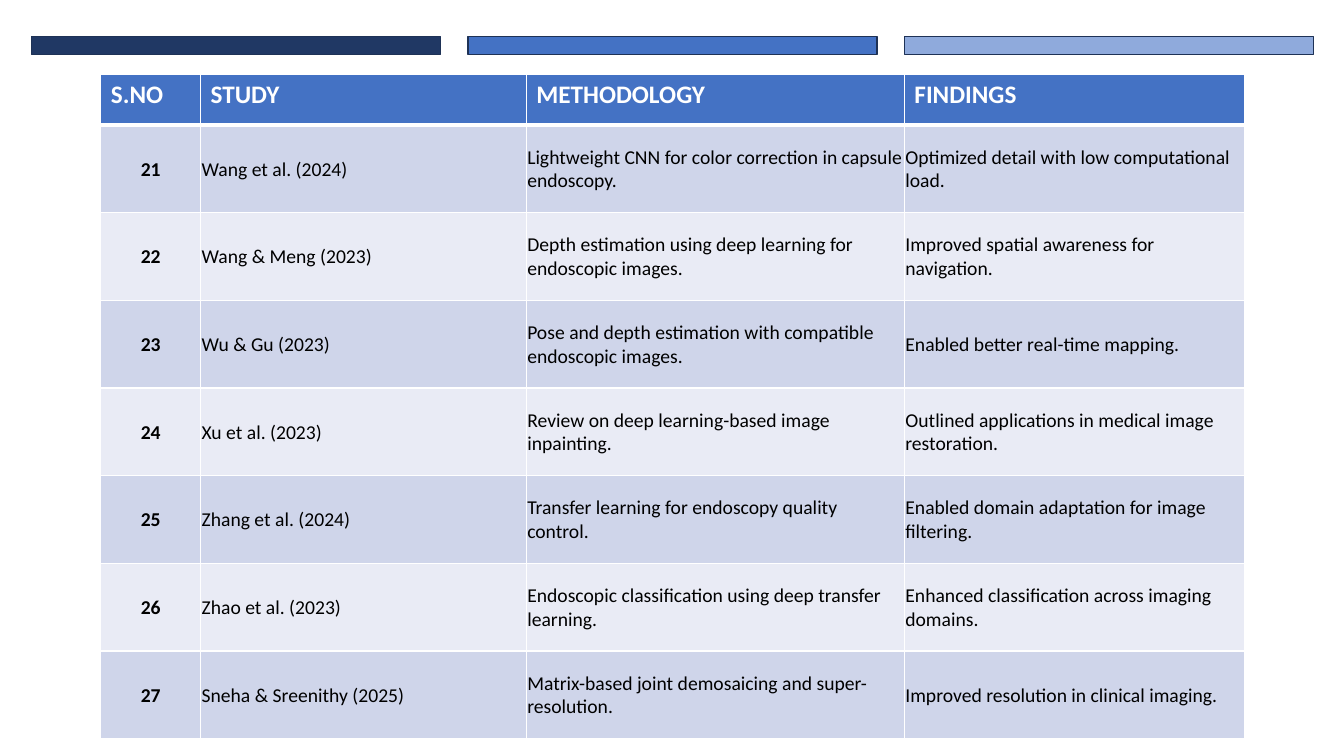
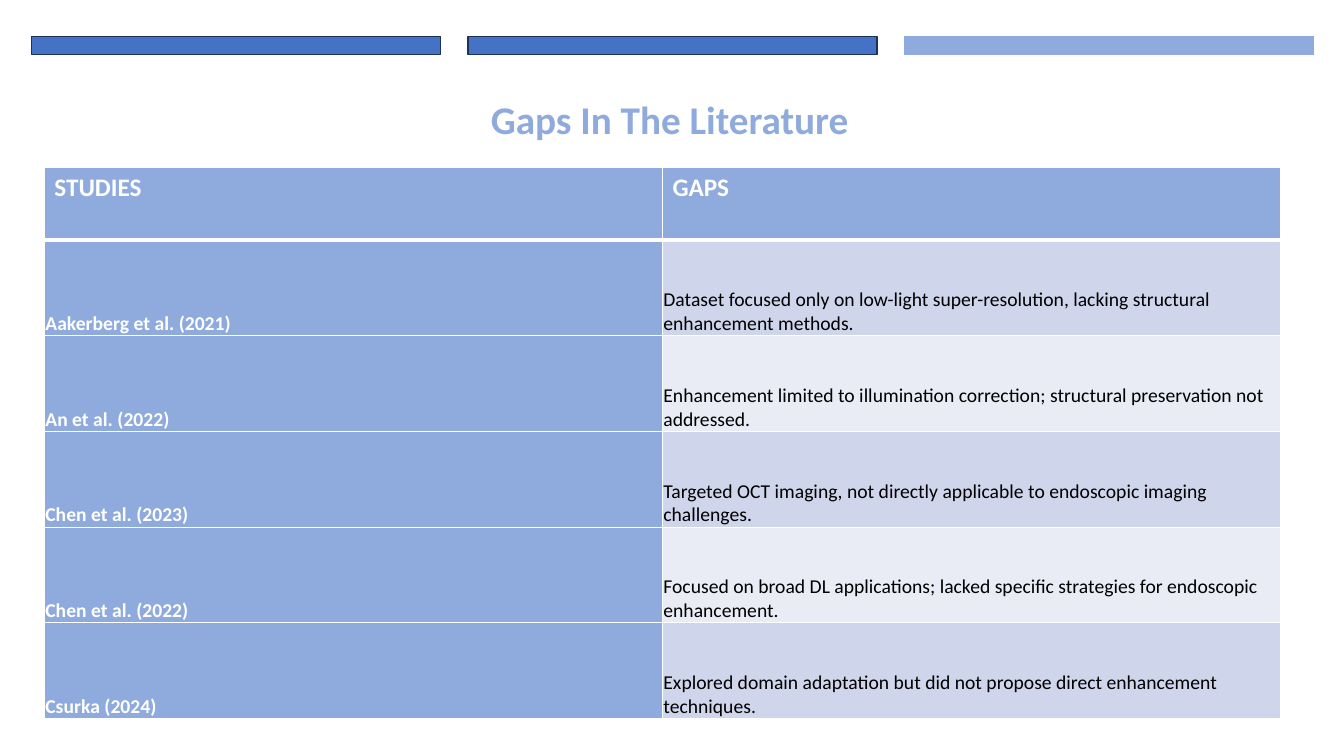
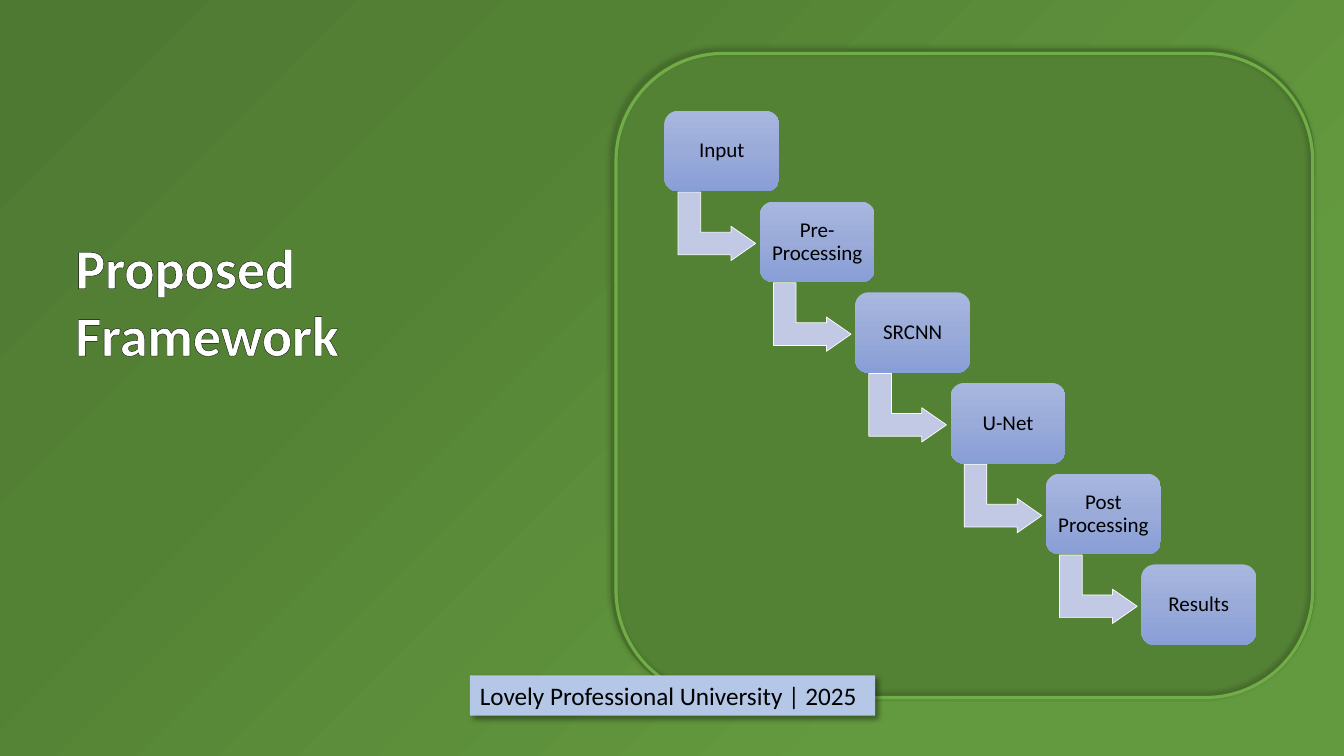
import pptx
import pptx.util
import pptx.oxml
import pptx.oxml.ns
import pptx.dml.color
import pptx.enum.shapes
import pptx.enum.text
from dataclasses import dataclass

Inches = pptx.util.Inches
Pt = pptx.util.Pt
qn = pptx.oxml.ns.qn
SHAPE = pptx.enum.shapes.MSO_SHAPE
ANCHOR = pptx.enum.text.MSO_ANCHOR
ALIGN = pptx.enum.text.PP_ALIGN
NS = 'xmlns:a="http://schemas.openxmlformats.org/drawingml/2006/main"'


@dataclass(frozen=True)
class Theme:
    font: str = "Calibri"
    white: str = "FFFFFF"
    black: str = "000000"
    navy: str = "203864"
    navy_line: str = "1E3256"
    blue: str = "4472C4"
    light_blue: str = "8FAADC"
    pale_blue: str = "B4C7E7"
    arrow: str = "C1C9E4"
    bands: tuple = ("CFD5EA", "E9EBF5")
    green: str = "548235"
    green_line: str = "70AD47"
    page_stops: tuple = ((0, "649A3F"), (23, "649A3F"), (69, "548235"), (97, "4E7932"))
    step_stops: tuple = ((0, "A8B7DF"), (50, "9AABD9"), (100, "889ED7"))
    hero: int = 40
    title: int = 28
    label: int = 18
    step: int = 15
    body: int = 14


T = Theme()

STUDIES = {
    "at": (1, 0.74),
    "cols": (0.99, 3.23, 3.75, 3.37),
    "rows": (0.5, 0.87),
    "head_fill": T.blue,
    "anchor": ANCHOR.MIDDLE,
    "first": {"color": T.black, "fill": None, "align": ALIGN.CENTER},
    "cells": [
        ("S.NO", "STUDY", "METHODOLOGY", "FINDINGS"),
        ("21", "Wang et al. (2024)", "Lightweight CNN for color correction in capsule endoscopy.",
         "Optimized detail with low computational load."),
        ("22", "Wang & Meng (2023)", "Depth estimation using deep learning for endoscopic images.",
         "Improved spatial awareness for navigation."),
        ("23", "Wu & Gu (2023)", "Pose and depth estimation with compatible endoscopic images.",
         "Enabled better real-time mapping."),
        ("24", "Xu et al. (2023)", "Review on deep learning-based image inpainting.",
         "Outlined applications in medical image restoration."),
        ("25", "Zhang et al. (2024)", "Transfer learning for endoscopy quality control.",
         "Enabled domain adaptation for image filtering."),
        ("26", "Zhao et al. (2023)", "Endoscopic classification using deep transfer learning.",
         "Enhanced classification across imaging domains."),
        ("27", "Sneha & Sreenithy (2025)", "Matrix-based joint demosaicing and super-resolution.",
         "Improved resolution in clinical imaging."),
    ],
}

GAPS = {
    "at": (0.44, 1.66),
    "cols": (6.13, 6.13),
    "rows": (0.72, 0.95),
    "head_fill": T.light_blue,
    "anchor": ANCHOR.BOTTOM,
    "first": {"color": T.white, "fill": T.light_blue, "align": None},
    "cells": [
        ("STUDIES", "GAPS"),
        ("Aakerberg et al. (2021)",
         "Dataset focused only on low-light super-resolution, lacking structural enhancement methods."),
        ("An et al. (2022)",
         "Enhancement limited to illumination correction; structural preservation not addressed."),
        ("Chen et al. (2023)",
         "Targeted OCT imaging, not directly applicable to endoscopic imaging challenges."),
        ("Chen et al. (2022)",
         "Focused on broad DL applications; lacked specific strategies for endoscopic enhancement."),
        ("Csurka (2024)",
         "Explored domain adaptation but did not propose direct enhancement techniques."),
    ],
}

STEPS = ["Input", "Pre-Processing", "SRCNN", "U-Net", "Post Processing", "Results"]


def rgb(color):
    return pptx.dml.color.RGBColor.from_string(color)


def box(*lengths):
    return [Inches(v) for v in lengths]


def write(tf, text, size, color, bold=False, align=None):
    tf.text = text
    p = tf.paragraphs[0]
    p.alignment = align
    r = p.runs[0]
    r.font.name = T.font
    r.font.size = Pt(size)
    r.font.bold = bold
    r.font.color.rgb = rgb(color)
    return r


def set_margins(holder, left, top, right, bottom):
    holder.margin_left, holder.margin_top, holder.margin_right, holder.margin_bottom = box(
        left, top, right, bottom)


def add_shape(shapes, kind, at, fill=None, line=None, width=1):
    sp = shapes.add_shape(kind, *box(*at))
    sp.shadow.inherit = False
    if fill:
        sp.fill.solid()
        sp.fill.fore_color.rgb = rgb(fill)
    else:
        sp.fill.background()
    if line:
        sp.line.color.rgb = rgb(line)
        sp.line.width = Pt(width)
    else:
        sp.line.fill.background()
    return sp


def set_gradient(props, stops, direction):
    gs = "".join(f'<a:gs pos="{pos * 1000}"><a:srgbClr val="{c}"/></a:gs>' for pos, c in stops)
    grad = pptx.oxml.parse_xml(
        f'<a:gradFill {NS} rotWithShape="1"><a:gsLst>{gs}</a:gsLst>{direction}</a:gradFill>')
    props.replace(props.find(qn("a:solidFill")), grad)


def add_shadow(sp, angle):
    sp._element.spPr.find(qn("a:effectLst")).append(pptx.oxml.parse_xml(
        f'<a:outerShdw {NS} blurRad="{Pt(4)}" dist="{Pt(3)}" dir="{angle * 60000}" rotWithShape="0">'
        f'<a:srgbClr val="{T.black}"><a:alpha val="40000"/></a:srgbClr></a:outerShdw>'))


def add_bars(slide, colors):
    for i, (fill, line) in enumerate(colors):
        add_shape(slide.shapes, SHAPE.RECTANGLE, (0.31 + 4.33 * i, 0.36, 4.06, 0.18), fill, line)


def set_borders(cell, row):
    widths = {"L": 1, "R": 1, "T": 3 if row == 1 else 1, "B": 3 if row == 0 else 1}
    tcPr = cell._tc.get_or_add_tcPr()
    for side, width in widths.items():
        tcPr.append(pptx.oxml.parse_xml(
            f'<a:ln{side} {NS} w="{Pt(width)}"><a:solidFill><a:srgbClr val="{T.white}"/>'
            f'</a:solidFill></a:ln{side}>'))


def add_table(slide, data):
    cells, cols = data["cells"], data["cols"]
    head, body = data["rows"]
    heights = [head] + [body] * (len(cells) - 1)
    tbl = slide.shapes.add_table(
        len(cells), len(cols), *box(*data["at"], sum(cols), sum(heights))).table
    tbl.horz_banding = False
    for col, width in zip(tbl.columns, cols):
        col.width = Inches(width)
    for i, texts in enumerate(cells):
        tbl.rows[i].height = Inches(heights[i])
        for j, text in enumerate(texts):
            cell = tbl.cell(i, j)
            set_borders(cell, i)
            fill = data["head_fill"]
            if i == 0:
                write(cell.text_frame, text, T.label, T.white, True)
            else:
                first = data["first"] if j == 0 else {"color": T.black, "fill": None, "align": None}
                fill = first["fill"] or T.bands[(i - 1) % 2]
                set_margins(cell, 0.01, 0.01, 0.01, 0)
                cell.vertical_anchor = data["anchor"]
                write(cell.text_frame, text, T.body, first["color"], j == 0, first["align"])
            cell.fill.solid()
            cell.fill.fore_color.rgb = rgb(fill)


def add_textbox(slide, at, text, size, color, wrap):
    tf = slide.shapes.add_textbox(*box(*at)).text_frame
    tf.word_wrap = wrap
    tf.auto_size = pptx.enum.text.MSO_AUTO_SIZE.SHAPE_TO_FIT_TEXT
    return write(tf, text, size, color, True)


def add_staircase(slide):
    shapes = slide.shapes.add_group_shape().shapes
    dx, dy = (11.32 - 6.59) / 5, 0.9
    for i, text in enumerate(STEPS):
        x, y = 6.59 + dx * i, 1.1 + dy * i
        if i < len(STEPS) - 1:
            arrow = add_shape(shapes, SHAPE.BENT_UP_ARROW, (x + 0.18, y + 0.76, 0.68, 0.77),
                              T.arrow, T.white, 0.5)
            arrow.rotation = 90
            for k, value in enumerate((0.33, 0.25, 0.36)):
                arrow.adjustments[k] = value
        sp = add_shape(shapes, SHAPE.ROUNDED_RECTANGLE, (x, y, 1.14, 0.8), T.light_blue)
        set_gradient(sp._element.spPr, T.step_stops, '<a:lin ang="5400000" scaled="0"/>')
        tf = sp.text_frame
        tf.word_wrap = True
        tf.vertical_anchor = ANCHOR.MIDDLE
        set_margins(tf, 0.05, 0.05, 0.05, 0.05)
        write(tf, text, T.step, T.black, align=ALIGN.CENTER)
        tf.paragraphs[0].line_spacing = 0.9


def build_studies(slide):
    add_bars(slide, [(c, T.navy_line) for c in (T.navy, T.blue, T.light_blue)])
    add_table(slide, STUDIES)


def build_gaps(slide):
    add_bars(slide, [(T.blue, T.navy_line)] * 2 + [(T.light_blue, T.light_blue)])
    add_textbox(slide, (4.77, 0.9, 3.8, 0.57), "Gaps In The Literature", T.title, T.light_blue, False)
    add_table(slide, GAPS)


def build_framework(slide):
    slide.background.fill.solid()
    set_gradient(slide._element.cSld.bg.bgPr, T.page_stops,
                 '<a:path path="circle"><a:fillToRect l="100000" t="100000"/></a:path>'
                 '<a:tileRect r="-100000" b="-100000"/>')
    add_shape(slide.shapes, SHAPE.ROUNDED_RECTANGLE, (6.06, 0.48, 6.98, 6.45), T.green)
    r = add_textbox(slide, (0.65, 2.26, 3.15, 1.45), "Proposed Framework", T.hero, T.white, True)
    r.font._element.insert(0, pptx.oxml.parse_xml(
        f'<a:ln {NS} w="{Pt(0.75)}"><a:solidFill><a:srgbClr val="{T.black}"/></a:solidFill></a:ln>'))
    add_staircase(slide)
    frame = add_shape(slide.shapes, SHAPE.ROUNDED_RECTANGLE, (6.11, 0.53, 6.91, 6.39),
                      None, T.green_line, 2.25)
    add_shadow(frame, 225)
    label = add_shape(slide.shapes, SHAPE.RECTANGLE, (4.66, 6.7, 4.02, 0.4), T.pale_blue)
    add_shadow(label, 45)
    label.text_frame.word_wrap = True
    label.text_frame.vertical_anchor = ANCHOR.TOP
    write(label.text_frame, "Lovely Professional University | 2025", T.label, T.black,
          align=ALIGN.LEFT)


def main():
    prs = pptx.Presentation()
    prs.slide_width, prs.slide_height = box(13.33, 7.5)
    for build in (build_studies, build_gaps, build_framework):
        build(prs.slides.add_slide(prs.slide_layouts[6]))
    prs.save("out.pptx")


if __name__ == "__main__":
    main()
